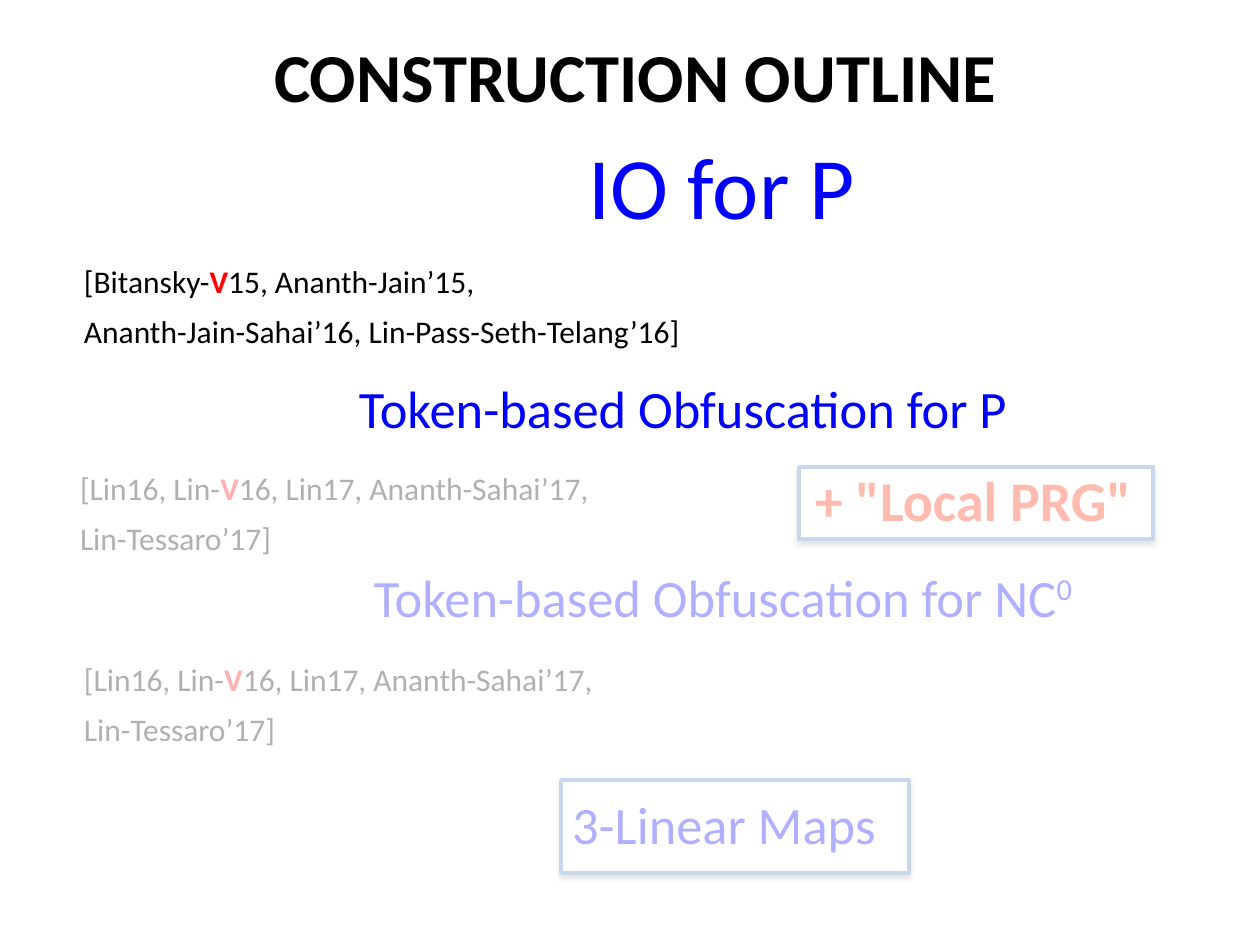
import pptx
import pptx.dml.color
import pptx.enum.shapes
import pptx.enum.text
import pptx.oxml
import pptx.oxml.ns
import pptx.util

PX = 914400 / 126
ALIGN = pptx.enum.text.PP_ALIGN
RECTANGLE = pptx.enum.shapes.MSO_SHAPE.RECTANGLE
BLACK, BLUE, RED, WHITE = "000000", "0000FF", "FF0000", "FFFFFF"


def color(value):
    return pptx.dml.color.RGBColor.from_string(value)


def write(box, lines, size, align=ALIGN.LEFT, inset=6, right=6):
    """Fill a box; each line is a list of (text, colour, bold) spans."""
    frame = box.text_frame
    frame.word_wrap = True
    frame.auto_size = pptx.enum.text.MSO_AUTO_SIZE.NONE
    frame.margin_left = frame.margin_top = frame.margin_bottom = round(inset * PX)
    frame.margin_right = round(right * PX)
    for number, line in enumerate(lines):
        para = frame.add_paragraph() if number else frame.paragraphs[0]
        para.alignment = align
        para.space_before = pptx.util.Pt(7 if number else 0)
        for text, fill, bold in line:
            span = para.add_run()
            span.text = text
            span.font.name = "Calibri"
            span.font.size = pptx.util.Pt(size)
            span.font.bold = bold
            span.font.color.rgb = color(fill)
    return frame


deck = pptx.Presentation()
deck.slide_width = pptx.util.Inches(10)
deck.slide_height = pptx.util.Inches(7.5)
page = deck.slides.add_slide(deck.slide_layouts[5])

# Title
title = page.shapes.title
title.left, title.top, title.width, title.height = [round(v * PX) for v in (35, 26, 1201, 98)]
write(title, [[("CONSTRUCTION OUTLINE", BLACK, True)]], 39.2, ALIGN.CENTER)

# Framed panels behind the two assumptions
for place in [(561, 780, 348, 93), (799, 467, 354, 72)]:
    panel = page.shapes.add_shape(RECTANGLE, *[round(v * PX) for v in place])
    panel.fill.solid()
    panel.fill.fore_color.rgb = color(WHITE)
    panel.line.color.rgb = color("4F81BD")
    panel.line.width = pptx.util.Pt(2)
    panel.shadow.inherit = False
    effects = panel._element.spPr.find(pptx.oxml.ns.qn("a:effectLst"))
    effects.append(pptx.oxml.parse_xml(
        f'<a:outerShdw {pptx.oxml.ns.nsdecls("a")} blurRad="38100" dist="22860" '
        'dir="5400000" rotWithShape="0"><a:srgbClr val="000000">'
        '<a:alpha val="35000"/></a:srgbClr></a:outerShdw>'))

# Steps of the construction: place, text, size, colour, bold, alignment, right inset
steps = [
    ((580, 126, 283, 118), "IO for P", 50, BLUE, False, ALIGN.CENTER, 6),
    ((350, 377, 762, 76), "Token-based Obfuscation for P", 30, BLUE, False, ALIGN.CENTER, 102),
    ((367, 559, 728, 71), "Token-based Obfuscation for NC", 30, BLUE, False, ALIGN.CENTER, 22),
    ((529, 786, 404, 84), "3-Linear Maps", 30, BLUE, False, ALIGN.CENTER, 20),
    ((809, 460, 353, 76), '+ "Local PRG"', 32, "FF2600", True, ALIGN.LEFT, 6),
]
for place, text, size, fill, bold, align, right in steps:
    box = page.shapes.add_textbox(*[round(v * PX) for v in place])
    spans = [(text, fill, bold)]
    if text.endswith("NC"):
        spans.append(("0", fill, bold))
    para = write(box, [spans], size, align, right=right).paragraphs[0]
    if text.endswith("for P") and size == 30:
        para.line_spacing = 0.9
    if len(spans) == 2:
        para.runs[1].font._element.set("baseline", "32000")

# Citations, each with one highlighted author
recent = ("[Lin16, Lin-", "16, Lin17, Ananth-Sahai’17,", "Lin-Tessaro’17]")
citations = [
    ((78, 256, 731, 121), ("[Bitansky-", "15, Ananth-Jain’15,",
                           "Ananth-Jain-Sahai’16, Lin-Pass-Seth-Telang’16]")),
    ((78, 654, 1087, 145), recent),
    ((74, 463, 1087, 145), recent),
]
for place, (before, after, second) in citations:
    box = page.shapes.add_textbox(*[round(v * PX) for v in place])
    first = [(before, BLACK, False), ("V", RED, True), (after, BLACK, False)]
    write(box, [first, [(second, BLACK, False)]], 18)

# Translucent veil over the steps still to come
veil = page.shapes.add_shape(RECTANGLE, *[round(v * PX) for v in (-72, 449, 1415, 495)])
veil.shadow.inherit = False
veil.line.fill.background()
veil.fill.solid()
veil.fill.fore_color.rgb = color(WHITE)
tint = veil._element.spPr.find(".//" + pptx.oxml.ns.qn("a:srgbClr"))
tint.append(pptx.oxml.parse_xml(
    f'<a:alpha {pptx.oxml.ns.nsdecls("a")} val="69000"/>'))

deck.save("out.pptx")
